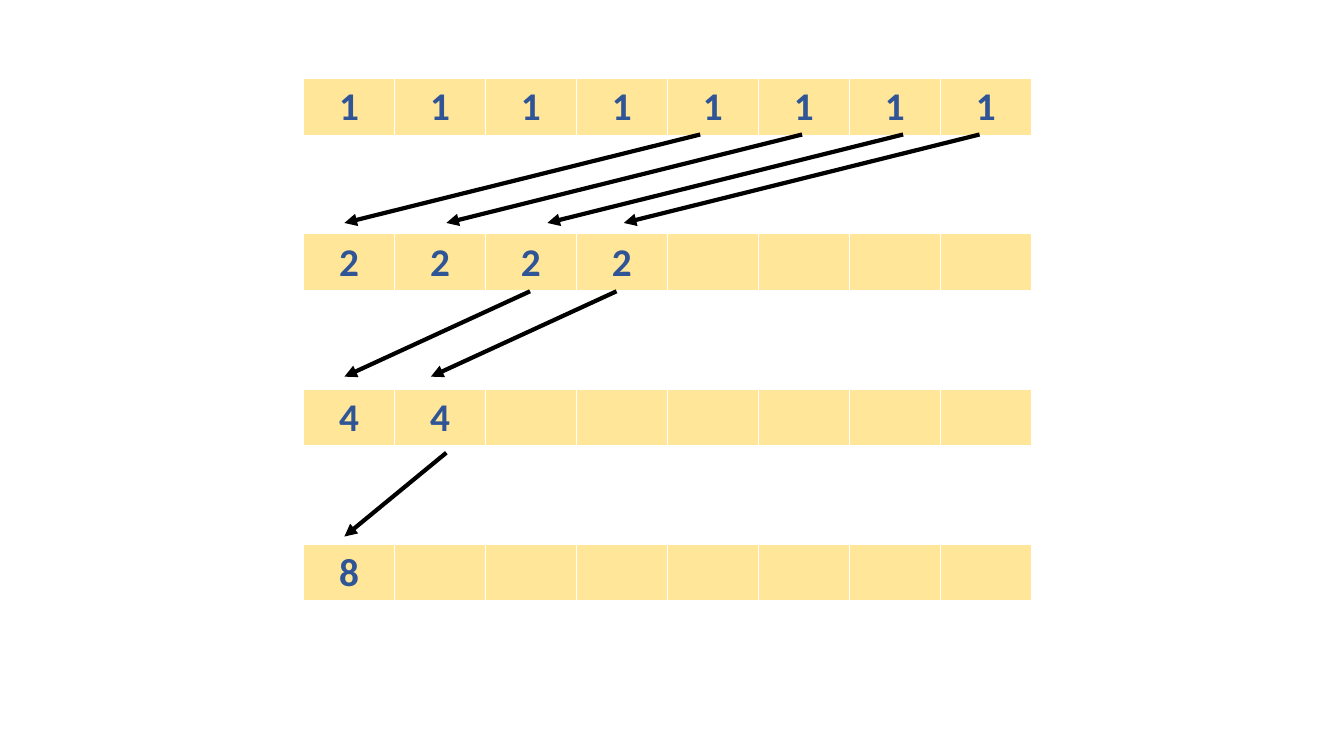
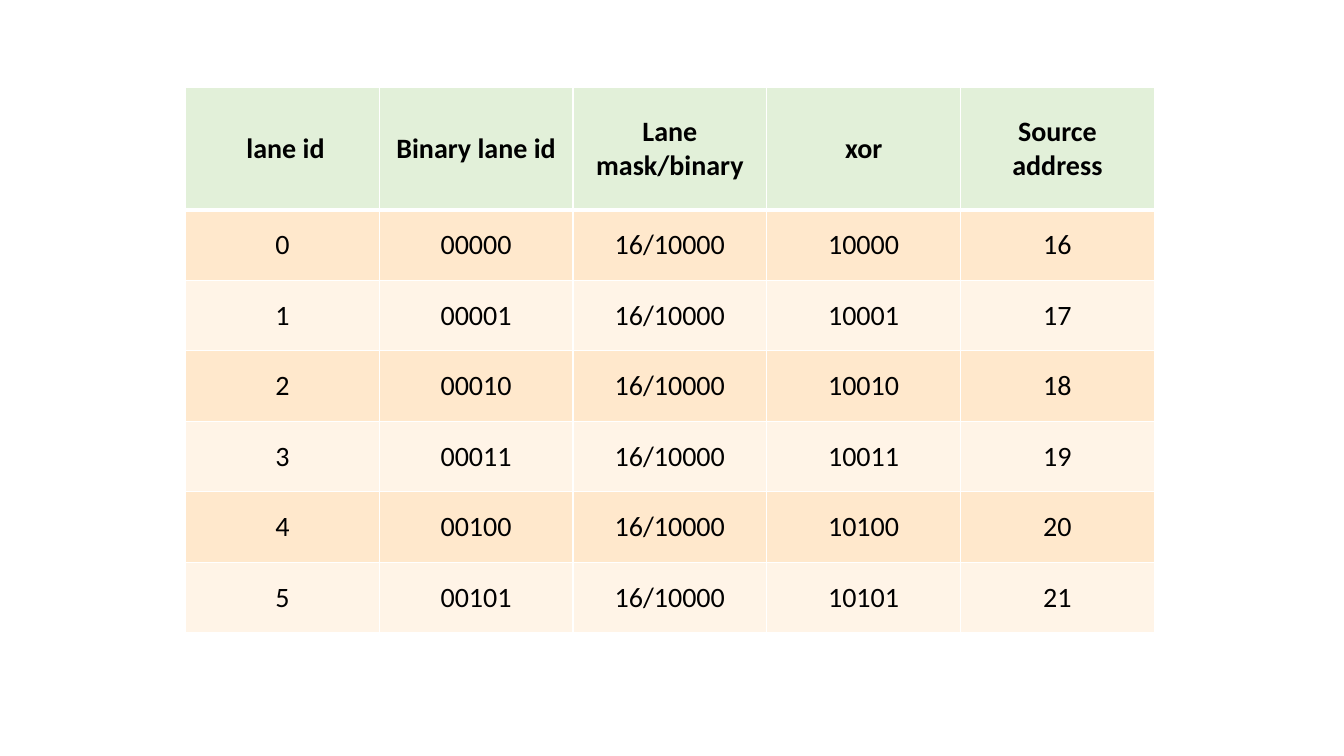
from dataclasses import dataclass

from lxml import etree
from pptx import Presentation, util as u
from pptx.dml.color import RGBColor
from pptx.enum import shapes, text
from pptx.oxml.ns import qn


@dataclass(frozen=True)
class Theme:
    font: str = "Calibri"
    ink: str = "000000"
    digit: str = "2F5597"
    lane: str = "FFE699"
    head: str = "E2F0D9"
    bands: tuple = ("FFE8CC", "FFF4E7")
    edge: str = "FFFFFF"
    big: int = 28
    body: int = 20
    thin: int = 1
    thick: int = 3


class Deck:
    """Draws on the current slide, measuring in columns and rows of its grid."""

    def __init__(self, theme):
        self.theme = theme
        self.prs = Presentation()
        self.prs.slide_width = u.Inches(13.33)
        self.prs.slide_height = u.Inches(7.5)

    def page(self, left, top, col, row):
        """Start a blank slide whose grid begins at left, top (inches)."""
        self.slide = self.prs.slides.add_slide(self.prs.slide_layouts[6])
        self.left, self.top, self.col, self.row = left, top, col, row

    def place(self, x, y):
        return (u.Inches(self.left + x * self.col),
                u.Inches(self.top + y * self.row))

    def edges(self, cell, **widths):
        props = cell._tc.get_or_add_tcPr()
        for spot, (side, width) in enumerate(widths.items()):
            line = etree.Element(qn(f"a:ln{side}"), w=str(u.Pt(width)))
            fill = etree.SubElement(line, qn("a:solidFill"))
            etree.SubElement(fill, qn("a:srgbClr"), val=self.theme.edge)
            props.insert(spot, line)

    def cell(self, cell, words, fill, size, color, bold):
        cell.fill.solid()
        cell.fill.fore_color.rgb = RGBColor.from_string(fill)
        cell.vertical_anchor = text.MSO_ANCHOR.MIDDLE
        para = cell.text_frame.paragraphs[0]
        para.alignment = text.PP_ALIGN.CENTER
        if words:
            run = para.add_run()
            run.text = words
            run.font.name = self.theme.font
            run.font.size = u.Pt(size)
            run.font.bold = bold
            run.font.color.rgb = RGBColor.from_string(color)

    def table(self, y, rows, highs, fills, size, color):
        """Add a table at grid row y; its first row is bold with a thick base."""
        th = self.theme
        count = len(rows[0])
        wide = u.Inches(self.col * count)
        tall = u.Inches(self.row * sum(highs))
        grid = self.slide.shapes.add_table(
            len(rows), count, *self.place(0, y), wide, tall).table
        grid.horz_banding = False
        for col in grid.columns:
            col.width = u.Inches(self.col)
        for r, (row, high, fill) in enumerate(zip(rows, highs, fills)):
            grid.rows[r].height = u.Inches(self.row * high)
            for c, words in enumerate(row):
                cell = grid.cell(r, c)
                self.cell(cell, words, fill, size, color, r == 0)
                self.edges(cell, L=th.thin, R=th.thin,
                           T=th.thick if r == 1 else th.thin,
                           B=th.thick if r == 0 else th.thin)

    def arrow(self, start, end):
        line = self.slide.shapes.add_connector(
            shapes.MSO_CONNECTOR.STRAIGHT, *self.place(*start), *self.place(*end))
        line.line.color.rgb = RGBColor.from_string(self.theme.ink)
        line.line.width = u.Pt(self.theme.thick)
        etree.SubElement(line.line._get_or_add_ln(), qn("a:tailEnd"),
                         type="triangle")
        etree.SubElement(line._element.spPr, qn("a:effectLst"))


def fold(deck):
    """Eight lanes are summed by halves until one total is left."""
    th = deck.theme
    lanes, pitch, high = 8, 1.54, 0.56
    deck.page(3.01, 0.78, 7.22 / lanes, pitch)
    for level in range(4):
        live = lanes >> level
        row = [str(2 ** level)] * live + [""] * (lanes - live)
        deck.table(level, [row], [high / pitch], [th.lane], th.big, th.digit)
    # columns moved, arrow tips by column, start and end rows
    hops = (
        (3.91, (0.45, 1.57, 2.68, 3.52), 0.36, 0.93),
        (2.04, (0.45, 1.4), 1.37, 1.92),
        (1.12, (0.45,), 2.41, 2.95),
    )
    for shift, tips, start, end in hops:
        for tip in tips:
            deck.arrow((tip + shift, start), (tip, end))


def swap(deck):
    """Each lane id is combined with the mask to find its source."""
    th = deck.theme
    mask, count, head, row = 16, 6, 1.21, 0.7
    rows = [(" lane id", "Binary lane id", "Lane mask/binary", "xor",
             "Source address")]
    for lane in range(count):
        source = lane ^ mask
        rows.append((str(lane), f"{lane:05b}", f"{mask}/{mask:05b}",
                     f"{source:05b}", str(source)))
    deck.page(1.84, 0.87, 9.61 / 5, row)
    fills = [th.head] + [th.bands[lane % 2] for lane in range(count)]
    deck.table(0, rows, [head / row] + [1] * count, fills, th.body, th.ink)


def main():
    deck = Deck(Theme())
    fold(deck)
    swap(deck)
    deck.prs.save("out.pptx")


if __name__ == "__main__":
    main()
